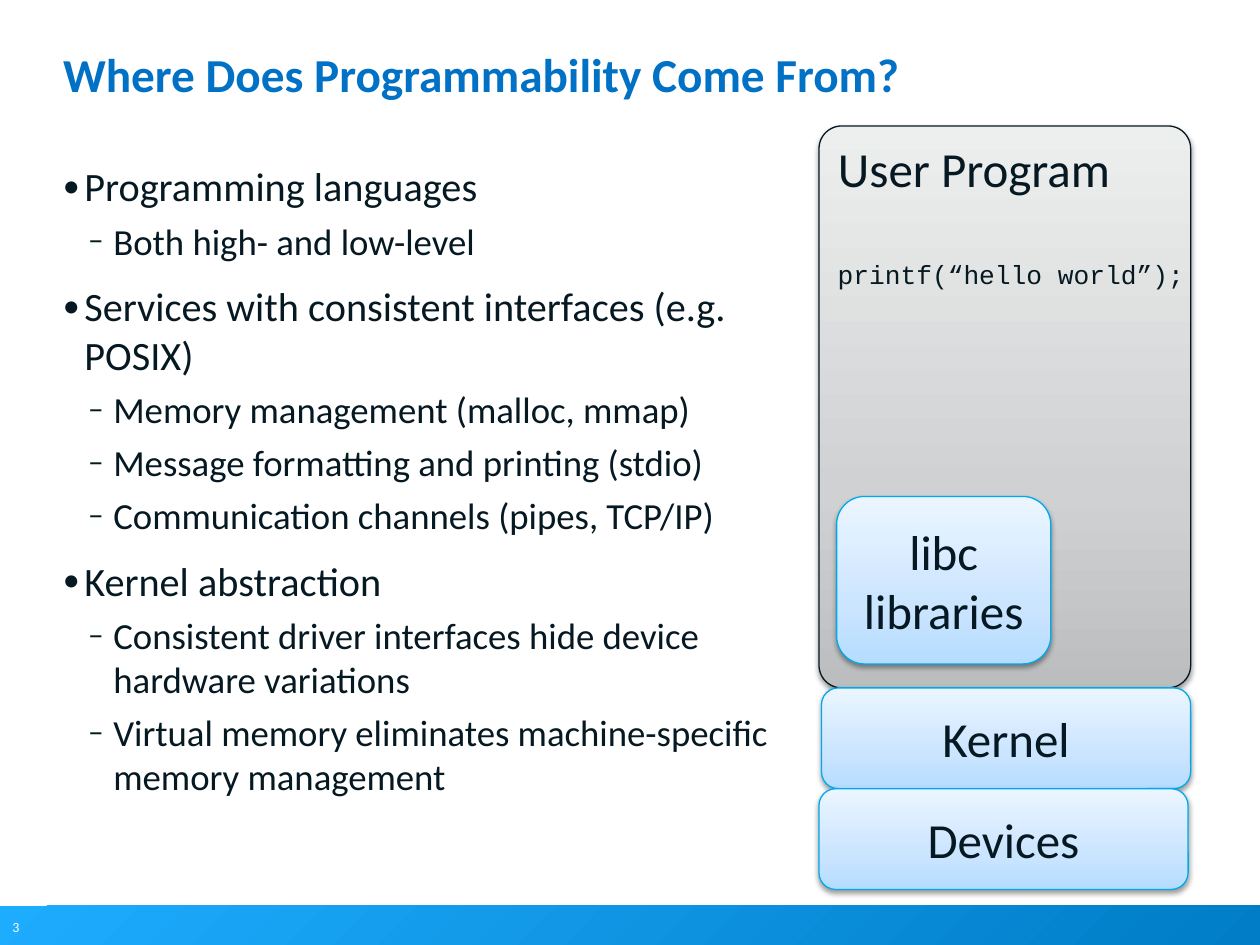
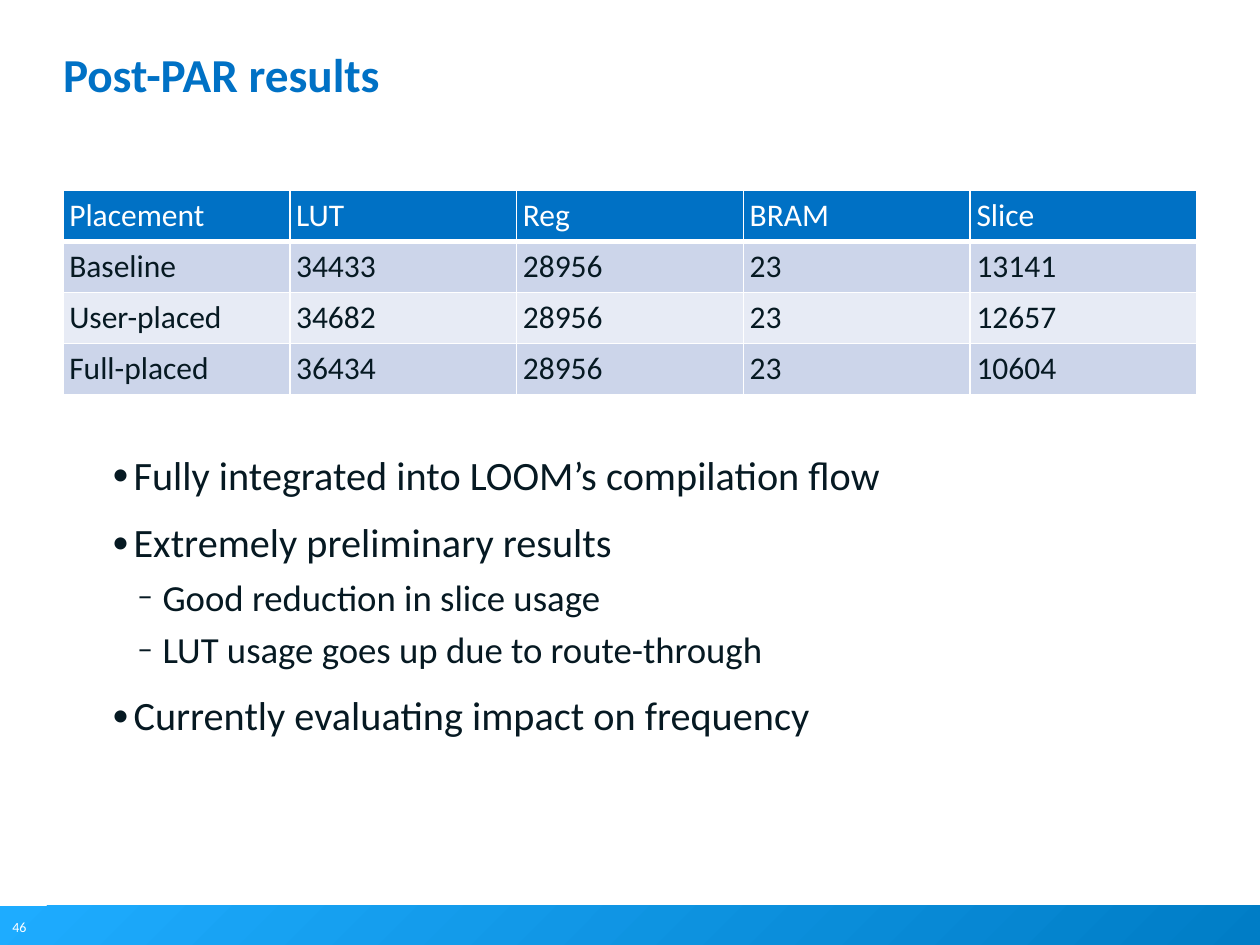
from dataclasses import dataclass

from lxml.etree import SubElement
from pptx import Presentation
from pptx.dml.color import RGBColor
from pptx.enum.shapes import MSO_SHAPE as Preset
from pptx.enum.text import MSO_ANCHOR as Anchor, MSO_AUTO_SIZE as AutoSize, PP_ALIGN as Align
from pptx.oxml.ns import qn
from pptx.util import Pt

INK = RGBColor(0x06, 0x19, 0x22)
BLUE = RGBColor(0x00, 0x71, 0xC5)
CYAN = RGBColor(0x00, 0xAA, 0xEA)
WHITE = RGBColor(0xFF, 0xFF, 0xFF)
BLACK = RGBColor(0x00, 0x00, 0x00)
ROW_DARK = RGBColor(0xCC, 0xD5, 0xEA)
ROW_LIGHT = RGBColor(0xE7, 0xEB, 0xF5)

BAND_STOPS = ((0, RGBColor(0x1E, 0xAC, 0xFF)), (100, RGBColor(0x00, 0x7D, 0xC6)))
GREY_STOPS = ((0, RGBColor(0xBC, 0xBD, 0xBE)), (35, RGBColor(0xD0, 0xD1, 0xD2)),
              (100, RGBColor(0xED, 0xEE, 0xEE)))
SKY_STOPS = ((0, RGBColor(0xB5, 0xDC, 0xFF)), (35, RGBColor(0xCB, 0xE5, 0xFF)),
             (100, RGBColor(0xEB, 0xF5, 0xFF)))

SANS, MONO = "Calibri", "Courier New"
SIDES = ("left", "top", "right", "bottom")


@dataclass(frozen=True)
class Area:
    left: float
    top: float
    width: float
    height: float

    def lengths(self):
        return Pt(self.left), Pt(self.top), Pt(self.width), Pt(self.height)


@dataclass(frozen=True)
class Block:
    text: str
    area: Area
    stops: tuple = SKY_STOPS
    edge: RGBColor = CYAN
    corner: float = 0.167
    anchor: Anchor = Anchor.MIDDLE
    align: Align = Align.CENTER


@dataclass(frozen=True)
class BulletLevel:
    mark: str
    size: float
    before: float
    margin: float
    hanging: float


LEVELS = (BulletLevel("•", 23, 11, 12.24, 12.24), BulletLevel("–", 21, 5, 28.8, 14.4))

SOFTWARE_STACK = (
    Block("User Program", Area(468, 72, 212.4, 321.12), GREY_STOPS, INK, 0.061,
          Anchor.TOP, Align.LEFT),
    Block("libc libraries", Area(478.08, 283.68, 122.4, 95.76)),
    Block("Kernel", Area(469.44, 393.12, 210.96, 57.6)),
    Block("Devices", Area(468, 450.72, 210.96, 57.6)),
)

PROGRAMMABILITY = (
    (0, "Programming languages"),
    (1, "Both high- and low-level"),
    (0, "Services with consistent interfaces (e.g. POSIX)"),
    (1, "Memory management (malloc, mmap)"),
    (1, "Message formatting and printing (stdio)"),
    (1, "Communication channels (pipes, TCP/IP)"),
    (0, "Kernel abstraction"),
    (1, "Consistent driver interfaces hide device hardware variations"),
    (1, "Virtual memory eliminates machine-specific memory management"),
)

FINDINGS = (
    (0, "Fully integrated into LOOM’s compilation flow"),
    (0, "Extremely preliminary results"),
    (1, "Good reduction in slice usage"),
    (1, "LUT usage goes up due to route-through"),
    (0, "Currently evaluating impact on frequency"),
)

PLACEMENT_ROWS = (
    ("Placement", "LUT", "Reg", "BRAM", "Slice"),
    ("Baseline", "34433", "28956", "23", "13141"),
    ("User-placed", "34682", "28956", "23", "12657"),
    ("Full-placed", "36434", "28956", "23", "10604"),
)


def set_all(target, formats: dict) -> None:
    for name, value in formats.items():
        setattr(target, name, value)


def add_colour(parent, colour: RGBColor):
    return SubElement(parent, qn("a:srgbClr"), val=str(colour))


def write(para, text: str, size: float, colour=INK, font=SANS, bold=False) -> None:
    span = para.add_run()
    span.text = text
    set_all(span.font, {"size": Pt(size), "name": font, "bold": bold})
    span.font.color.rgb = colour


def zero_insets(frame) -> None:
    set_all(frame, {f"margin_{side}": Pt(0) for side in SIDES})


def add_text_box(page, area: Area, wrap=True):
    frame = page.shapes.add_textbox(*area.lengths()).text_frame
    frame.word_wrap = wrap
    return frame


def fill_gradient(shape, stops: tuple, angle: float) -> None:
    """Angle is counter-clockwise, in degrees."""
    shape.fill.gradient()
    shape.fill.gradient_angle = angle
    stop_list = shape._element.spPr.find(qn("a:gradFill")).find(qn("a:gsLst"))
    stop_list.clear()
    for position, colour in stops:
        add_colour(SubElement(stop_list, qn("a:gs"), pos=str(position * 1000)), colour)


def add_shadow(shape) -> None:
    effects = shape._element.spPr.find(qn("a:effectLst"))
    shadow = SubElement(effects, qn("a:outerShdw"), blurRad=str(Pt(3.1)), dist=str(Pt(1.6)),
                        dir="5400000", rotWithShape="0")
    SubElement(add_colour(shadow, BLACK), qn("a:alpha"), val="38000")


def add_block(page, block: Block) -> None:
    box = page.shapes.add_shape(Preset.ROUNDED_RECTANGLE, *block.area.lengths())
    box.adjustments[0] = block.corner
    box.shadow.inherit = False
    add_shadow(box)
    fill_gradient(box, block.stops, 90)
    box.line.color.rgb = block.edge
    box.line.width = Pt(0.75)
    set_all(box.text_frame, {"word_wrap": True, "vertical_anchor": block.anchor})
    para = box.text_frame.paragraphs[0]
    para.alignment = block.align
    write(para, block.text, 28)


def add_bullets(page, area: Area, items: tuple) -> None:
    frame = add_text_box(page, area)
    zero_insets(frame)
    for index, (depth, text) in enumerate(items):
        level = LEVELS[depth]
        para = frame.add_paragraph() if index else frame.paragraphs[0]
        set_all(para, {"level": depth, "space_before": Pt(level.before)})
        props = para._p.get_or_add_pPr()
        props.set("marL", str(Pt(level.margin)))
        props.set("indent", str(-Pt(level.hanging)))
        add_colour(SubElement(props, qn("a:buClr")), INK)
        SubElement(props, qn("a:buSzPct"), val="85000")
        SubElement(props, qn("a:buFont"), typeface=SANS)
        SubElement(props, qn("a:buChar"), char=level.mark)
        write(para, text, level.size)


def add_borders(cell, widths: dict) -> None:
    props = cell._tc.get_or_add_tcPr()
    for side, width in widths.items():
        line = SubElement(props, qn(f"a:ln{side}"), w=str(Pt(width)))
        add_colour(SubElement(line, qn("a:solidFill")), WHITE)


def add_table(page, area: Area, rows: tuple) -> None:
    table = page.shapes.add_table(len(rows), len(rows[0]), *area.lengths()).table
    for row_index, values in enumerate(rows):
        is_header = row_index == 0
        fill = BLUE if is_header else ROW_DARK if row_index % 2 else ROW_LIGHT
        widths = {"L": 1, "R": 1, "T": 3 if row_index == 1 else 1, "B": 3 if is_header else 1}
        for column_index, value in enumerate(values):
            cell = table.cell(row_index, column_index)
            set_all(cell, {f"margin_{side}": Pt(3.6) for side in SIDES})
            add_borders(cell, widths)
            cell.fill.solid()
            cell.fill.fore_color.rgb = fill
            write(cell.text_frame.paragraphs[0], value, 18, WHITE if is_header else INK)


def add_page(deck, title: str, number: int):
    """Add a slide with its title, footer band and slide number."""
    page = deck.slides.add_slide(deck.slide_layouts.get_by_name("Title Only"))
    band = page.shapes.add_shape(Preset.RECTANGLE, *Area(0, 517.68, 720, 22.32).lengths())
    band.shadow.inherit = False
    fill_gradient(band, BAND_STOPS, 315)
    band.line.fill.background()
    number_frame = add_text_box(page, Area(0, 521.28, 22.32, 17.28), wrap=False)
    write(number_frame.paragraphs[0], str(number), 8, WHITE)

    heading = page.shapes.title
    set_all(heading, dict(zip(("left", "top", "width", "height"),
                              Area(36, 32.4, 648, 69.84).lengths())))
    frame = heading.text_frame
    zero_insets(frame)
    set_all(frame, {"vertical_anchor": Anchor.TOP, "auto_size": AutoSize.NONE,
                    "word_wrap": True})
    para = frame.paragraphs[0]
    set_all(para, {"alignment": Align.LEFT, "line_spacing": Pt(26)})
    write(para, title, 27, BLUE, bold=True)
    return page


def build_programmability(deck) -> None:
    page = add_page(deck, "Where Does Programmability Come From?", 3)
    add_bullets(page, Area(36, 92.16, 413.28, 383.04), PROGRAMMABILITY)
    for block in SOFTWARE_STACK:
        add_block(page, block)
    code = add_text_box(page, Area(471.6, 144, 249.84, 25.2))
    write(code.paragraphs[0], "printf(“hello world”);", 15, font=MONO)


def build_results(deck) -> None:
    page = add_page(deck, "Post-PAR results", 46)
    add_table(page, Area(36, 108.72, 648, 116.8), PLACEMENT_ROWS)
    add_bullets(page, Area(64.08, 257.04, 619.92, 234.72), FINDINGS)


def main() -> None:
    deck = Presentation()
    set_all(deck, {"slide_width": Pt(720), "slide_height": Pt(540)})
    build_programmability(deck)
    build_results(deck)
    deck.save("out.pptx")


if __name__ == "__main__":
    main()
